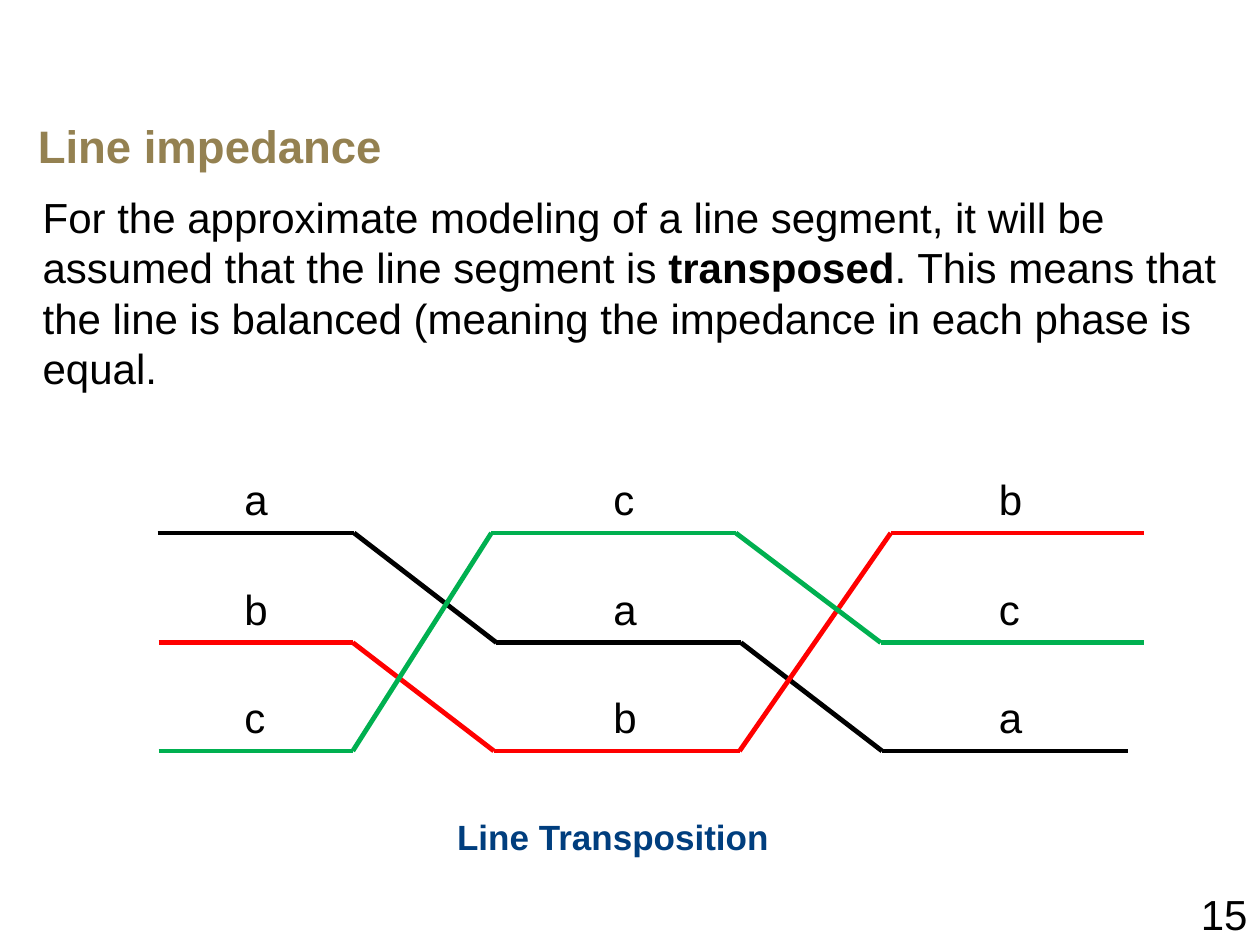
import itertools

import pptx
import pptx.util
import pptx.dml.color
import pptx.enum.shapes
import pptx.enum.text
import pptx.oxml

Inches = pptx.util.Inches
Align = pptx.enum.text.PP_ALIGN

THEME = {
    "font": "Arial",
    "ink": "000000", "gold": "948151", "navy": "003E7E",
    "red": "FF0000", "green": "00B050",
    "title": 26, "body": 24, "caption": 20, "line": 2.75,
}

TITLE = "Line impedance"
BODY = [
    ("For the approximate modeling of a line segment, it will be assumed "
     "that the line segment is ", False),
    ("transposed", True),
    (". This means that the line is balanced (meaning the impedance in each "
     "phase is equal.", False),
]
CAPTION = "Line Transposition"
NUMBER = "15"

ROWS = (4.23, 5.10, 5.96)
LABELS = (1.84, 4.77, 7.83)
PHASES = [
    ("a", "ink", (0, 1, 2), (1.25, 2.81, 3.94, 5.88, 7.00, 8.95)),
    ("b", "red", (1, 2, 0), (1.26, 2.80, 3.92, 5.87, 7.07, 9.08)),
    ("c", "green", (2, 0, 1), (1.26, 2.80, 3.90, 5.84, 6.99, 9.08)),
]


def color(name):
    return pptx.dml.color.RGBColor.from_string(THEME[name])


def style(run, size, ink, bold):
    run.font.name = THEME["font"]
    run.font.size = pptx.util.Pt(THEME[size])
    run.font.color.rgb = color(ink)
    run.font.bold = bold


def write(slide, area, parts, size="body", ink="ink", wrap=False, align=Align.LEFT):
    box = slide.shapes.add_textbox(*map(Inches, area))
    box.text_frame.word_wrap = wrap
    line = box.text_frame.paragraphs[0]
    line.alignment = align
    for text, bold in parts:
        run = line.add_run()
        run.text = text
        style(run, size, ink, bold)


def draw(slide, start, end, ink):
    wire = slide.shapes.add_connector(
        pptx.enum.shapes.MSO_CONNECTOR.STRAIGHT, *map(Inches, start + end))
    wire.line.color.rgb = color(ink)
    wire.line.width = pptx.util.Pt(THEME["line"])
    props = wire.element.spPr
    props.append(pptx.oxml.parse_xml(
        '<a:effectLst xmlns:a="http://schemas.openxmlformats.org/drawingml/2006/main"/>'))


def main():
    deck = pptx.Presentation()
    deck.slide_width, deck.slide_height = Inches(10), Inches(7.5)
    slide = deck.slides.add_slide(deck.slide_layouts[5])

    title = slide.shapes.title
    title.left, title.top, title.width, title.height = map(Inches, (0.2, 0.83, 9.8, 0.64))
    title.text_frame.text = TITLE
    title.text_frame.vertical_anchor = pptx.enum.text.MSO_ANCHOR.MIDDLE
    head = title.text_frame.paragraphs[0]
    head.alignment = Align.LEFT
    style(head.runs[0], "title", "gold", True)

    write(slide, (9.08, 7, 0.92, 0.5), [(NUMBER, False)], wrap=True, align=Align.RIGHT)
    write(slide, (0.24, 1.47, 9.52, 1.72), BODY, wrap=True)

    for name, ink, order, stops in PHASES:
        levels = [ROWS[row] for row in order for side in range(2)]
        for start, end in itertools.pairwise(zip(stops, levels)):
            draw(slide, start, end, ink)
        for left, row in zip(LABELS, order):
            write(slide, (left, ROWS[row] - 0.52, 0.39, 0.5), [(name, False)])

    write(slide, (3.53, 6.42, 2.7, 0.44), [(CAPTION, True)], "caption", "navy")
    deck.save("out.pptx")


if __name__ == "__main__":
    main()
